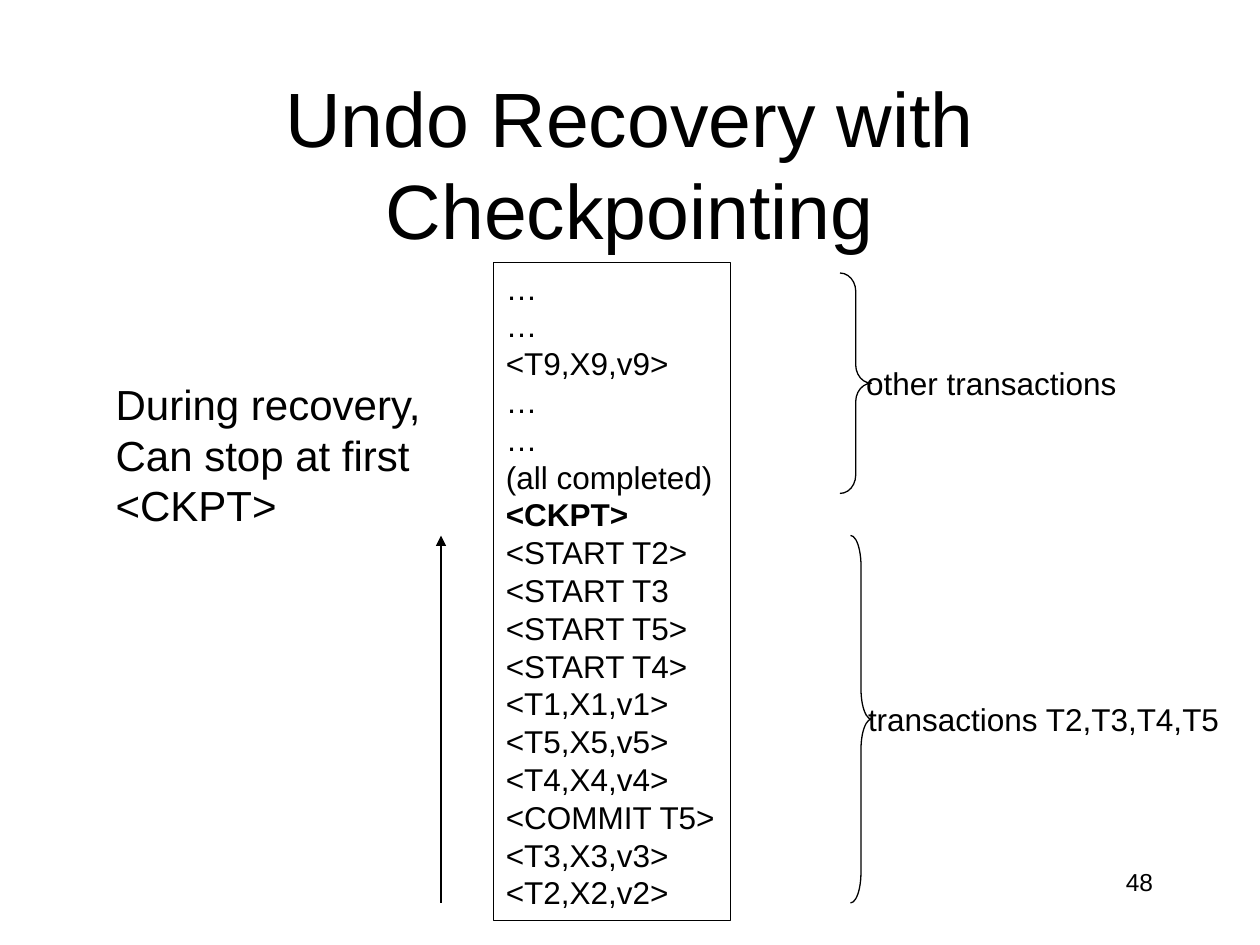
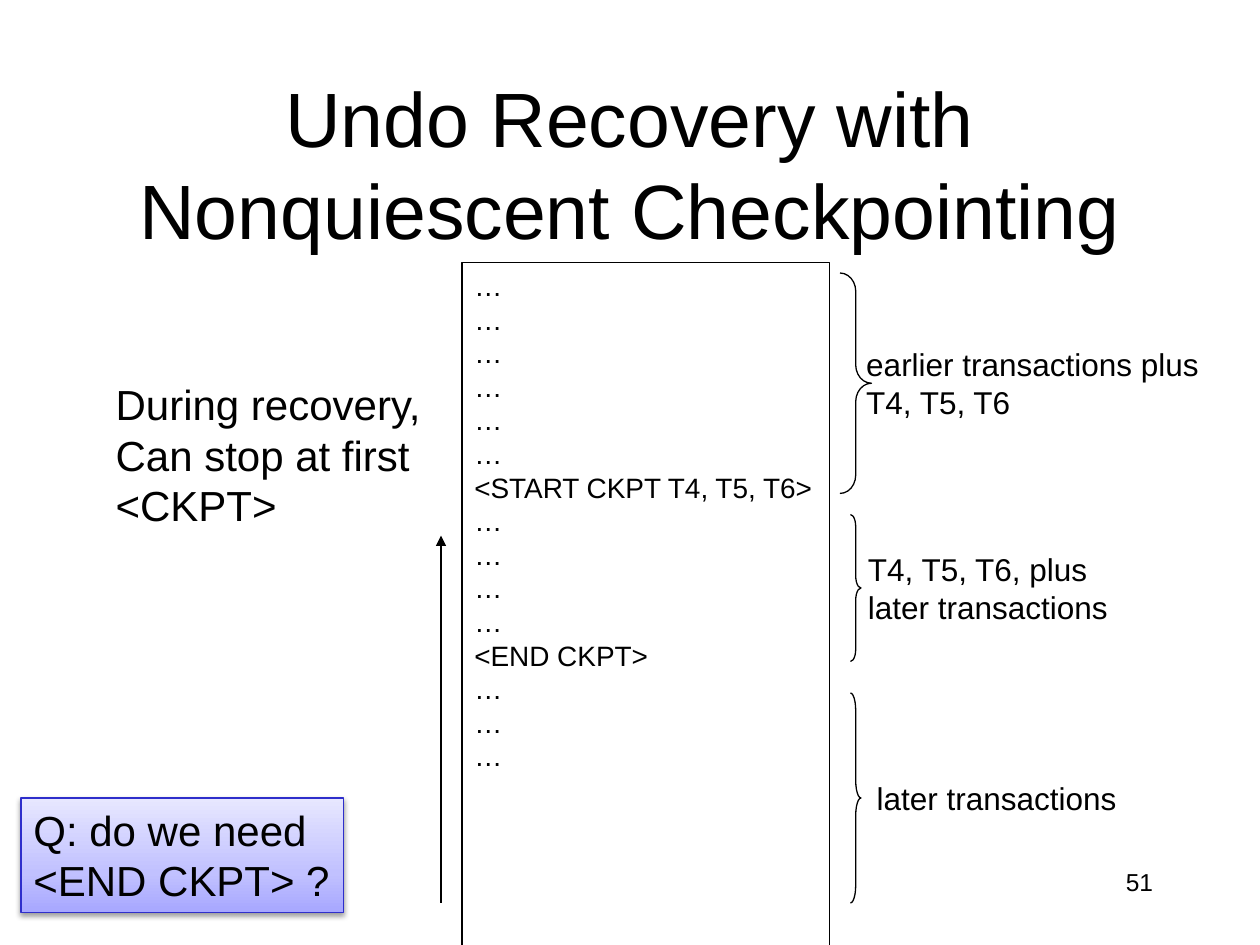
"""Two slides on undo recovery with checkpointing."""
from lxml.etree import SubElement
from pptx import Presentation
from pptx.dml.color import RGBColor
from pptx.enum.dml import MSO_THEME_COLOR
from pptx.enum.shapes import MSO_CONNECTOR as CONN, MSO_SHAPE as SHAPE
from pptx.enum.text import MSO_ANCHOR as ANCHOR, PP_ALIGN as ALIGN
from pptx.oxml import parse_xml
from pptx.oxml.ns import nsdecls, qn
from pptx.util import Pt

FONT, BLACK = "Arial", "000000"
DOTS = "…"


def rgb(code):
    return RGBColor.from_string(code)


def write(sp, lines, size=18, align=ALIGN.LEFT, anchor=ANCHOR.TOP, wrap=False, indent=0, bold=()):
    tf = sp.text_frame
    tf.word_wrap, tf.vertical_anchor = wrap, anchor
    for i, line in enumerate(lines):
        p = tf.paragraphs[0] if i == 0 else tf.add_paragraph()
        p.alignment = align
        if indent:
            p._p.get_or_add_pPr().set("marL", str(Pt(indent)))
        r = p.add_run()
        r.text = line
        r.font.name, r.font.size, r.font.bold = FONT, Pt(size), line in bold
        r.font.color.rgb = rgb(BLACK)


slides = [
    dict(
        title="Undo Recovery with Checkpointing", number="48",
        box=(282, 150, 135.5, 376), size=18, wrap=False,
        log=[DOTS, DOTS, "<T9,X9,v9>", DOTS, DOTS, "(all completed)", "<CKPT>",
             "<START T2>", "<START T3", "<START T5>", "<START T4>",
             "<T1,X1,v1>", "<T5,X5,v5>", "<T4,X4,v4>", "<COMMIT T5>",
             "<T3,X3,v3>", "<T2,X2,v2>"],
        braces=[((486, 306, 12, 210), 10, ["transactions T2,T3,T4,T5"]),
                ((480, 156, 18, 126), 15, ["other transactions"])],
        question=[],
    ),
    dict(
        title="Undo Recovery with Nonquiescent Checkpointing", number="51",
        box=(264, 150, 210, 393), size=16, wrap=True,
        log=[DOTS] * 6 + ["<START CKPT T4, T5, T6>"] + [DOTS] * 4 + ["<END CKPT>"] + [DOTS] * 3,
        braces=[((486, 294, 6, 84), 10, ["T4, T5, T6, plus", "later transactions"]),
                ((480, 156, 18, 126), 15, ["earlier transactions plus", "T4, T5, T6"]),
                ((486, 396, 6, 120), 15, ["later transactions"])],
        question=["Q: do we need", "<END CKPT> ?"],
    ),
]

prs = Presentation()
prs.slide_width, prs.slide_height = Pt(720), Pt(540)

for page in slides:
    s = prs.slides.add_slide(prs.slide_layouts[6])

    sp = s.shapes.add_textbox(Pt(516), Pt(492), Pt(150), Pt(36))
    write(sp, [page["number"]], size=14, align=ALIGN.RIGHT, wrap=True)
    sp = s.shapes.add_textbox(Pt(54), Pt(48), Pt(612), Pt(90))
    write(sp, [page["title"]], size=44, align=ALIGN.CENTER, anchor=ANCHOR.MIDDLE, wrap=True)

    sp = s.shapes.add_shape(SHAPE.RECTANGLE, *map(Pt, page["box"]))
    sp.shadow.inherit = False
    sp.fill.background()
    sp.line.color.rgb, sp.line.width = rgb(BLACK), Pt(0.75)
    write(sp, page["log"], size=page["size"], wrap=page["wrap"], bold=("<CKPT>",))

    sp = s.shapes.add_textbox(Pt(59), Pt(213), Pt(191), Pt(94))
    write(sp, ["During recovery,", "Can stop at first", "<CKPT>"], size=24)

    arrow = s.shapes.add_connector(CONN.STRAIGHT, Pt(252), Pt(516), Pt(252), Pt(306))
    arrow.line.color.rgb, arrow.line.width = rgb(BLACK), Pt(0.75)
    SubElement(arrow.line._get_or_add_ln(), qn("a:tailEnd"), type="triangle")
    SubElement(arrow._element.spPr, qn("a:effectLst"))

    for (x, y, w, h), indent, label in page["braces"]:
        sp = s.shapes.add_shape(SHAPE.RIGHT_BRACE, Pt(x), Pt(y), Pt(w), Pt(h))
        sp.adjustments[0], sp.adjustments[1] = h / 12 / w, 0.5
        sp.shadow.inherit = False
        sp.fill.background()
        sp.line.color.rgb, sp.line.width = rgb(BLACK), Pt(0.75)
        write(sp, label, anchor=ANCHOR.MIDDLE, indent=indent)

    if page["question"]:
        sp = s.shapes.add_shape(SHAPE.RECTANGLE, Pt(12), Pt(456), Pt(184.5), Pt(65.5))
        sp.line.color.rgb, sp.line.width = rgb("2E2ECB"), Pt(0.75)
        sp.fill.gradient()
        sp.fill.gradient_angle = 90
        stops = sp.fill._fill._gradFill.find(qn("a:gsLst"))
        for stop in list(stops):
            stops.remove(stop)
        for pos, code in ((0, "A7A7FF"), (35, "C1C1FF"), (100, "E7E7FF")):
            stop = SubElement(stops, qn("a:gs"), pos=str(pos * 1000))
            SubElement(stop, qn("a:srgbClr"), val=code)
        sp._element.spPr.append(parse_xml(
            f'<a:effectLst {nsdecls("a")}><a:outerShdw blurRad="{Pt(3.1)}" dist="{Pt(1.6)}" '
            f'dir="5400000" rotWithShape="0"><a:srgbClr val="{BLACK}"><a:alpha val="38000"/>'
            '</a:srgbClr></a:outerShdw></a:effectLst>'))
        write(sp, page["question"], size=24)

prs.save("out.pptx")
